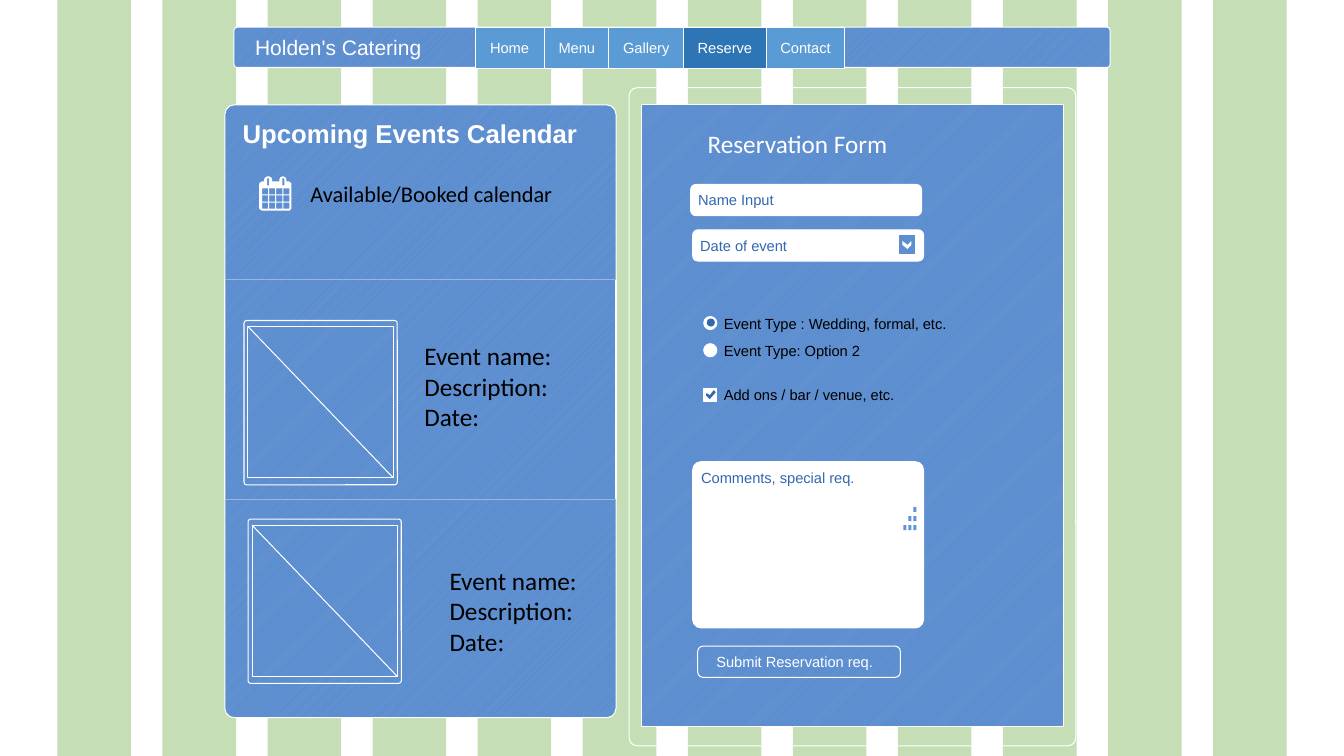
from lxml.etree import SubElement
from pptx import Presentation
from pptx.dml.color import RGBColor
from pptx.enum.dml import MSO_PATTERN
from pptx.enum.shapes import MSO_CONNECTOR, MSO_SHAPE
from pptx.enum.text import MSO_ANCHOR, MSO_AUTO_SIZE, PP_ALIGN
from pptx.oxml.ns import qn
from pptx.util import Inches, Pt

WHITE, BLACK, GREEN = "FFFFFF", "000000", "70AD47"
INK, PALE, PANEL = "3368AF", "97B7E1", "6493D2"
HATCH = ("437CC9", PANEL)
RECT, ROUND, OVAL = MSO_SHAPE.RECTANGLE, MSO_SHAPE.ROUNDED_RECTANGLE, MSO_SHAPE.OVAL

STRIPES, STRIPE_LEFT, STRIPE_PITCH, STRIPE_W = 12, 0.57, 1.042, 0.73
# label, width, fill
TABS = [("Home", 0.68, "5B9BD5"), ("Menu", 0.64, "5B9BD5"), ("Gallery", 0.74, "5B9BD5"),
        ("Reserve", 0.82, "2E75B6"), ("Contact", 0.78, "5B9BD5")]
# label, left, top, height, corner, anchor
FIELDS = [("Name Input", 6.85, 1.83, 0.31, 0.1667, MSO_ANCHOR.MIDDLE),
          ("Date of event", 6.87, 2.28, 0.31, 0.1667, MSO_ANCHOR.MIDDLE),
          ("Comments, special req.", 6.87, 4.58, 1.65, 0.051, MSO_ANCHOR.TOP)]
# label, button shape, top, text width
CHOICES = [("Event Type : Wedding, formal, etc.", OVAL, 3.14, 2.34),
           ("Event Type: Option 2", OVAL, 3.41, 1.47),
           ("Add ons / bar / venue, etc.", RECT, 3.85, 1.8)]
# frame left, frame top, text left, text top, lines
EVENTS = [(2.42, 3.18, 4.11, 3.33, ["Event name: Description:", "Date:"]),
          (2.46, 5.15, 4.36, 5.56, ["Event name:", "Description:", "Date:"])]
ARROW = [(9.04, 2.39), (9, 2.43), (8.95, 2.39), (8.95, 2.43), (9, 2.47), (9.04, 2.43)]
TICK = [(7.08, 3.87), (7.04, 3.92), (7.01, 3.9), (7, 3.92), (7.04, 3.96), (7.1, 3.89)]
CALENDAR = [(2.57, 1.82), (2.58, 1.81), (2.6, 1.8), (2.62, 1.8), (2.62, 1.78), (2.63, 1.76),
            (2.65, 1.75), (2.67, 1.75), (2.69, 1.76), (2.7, 1.78), (2.7, 1.8), (2.77, 1.8),
            (2.77, 1.78), (2.78, 1.76), (2.8, 1.75), (2.81, 1.75), (2.83, 1.76), (2.84, 1.78),
            (2.84, 1.8), (2.87, 1.8), (2.88, 1.81), (2.89, 1.82), (2.89, 2.07), (2.88, 2.08),
            (2.87, 2.09), (2.6, 2.09), (2.58, 2.08), (2.57, 2.07)]

prs = Presentation()
prs.slide_width, prs.slide_height = Inches(13.33), Inches(7.5)
s = prs.slides.add_slide(prs.slide_layouts[6])


def rgb(value):
    return RGBColor.from_string(value)


def paint(sp, fill, line):
    """Fill is None, a colour, or a (front, back) pair for diagonal hatching."""
    sp.shadow.inherit = False
    if fill is None:
        sp.fill.background()
    elif isinstance(fill, tuple):
        sp.fill.patterned()
        sp.fill.pattern = MSO_PATTERN.LIGHT_UPWARD_DIAGONAL
        sp.fill.fore_color.rgb, sp.fill.back_color.rgb = map(rgb, fill)
    else:
        sp.fill.solid()
        sp.fill.fore_color.rgb = rgb(fill)
    if line:
        sp.line.color.rgb = rgb(line)
        sp.line.width = Pt(0.75)
    else:
        sp.line.fill.background()


def box(kind, x, y, w, h, fill=None, line=WHITE, corner=None):
    sp = s.shapes.add_shape(kind, Inches(x), Inches(y), Inches(w), Inches(h))
    paint(sp, fill, line)
    if corner is not None:
        sp.adjustments[0] = corner
    return sp


def write(sp, lines, size, color, font="Arial", bold=False, anchor=MSO_ANCHOR.TOP,
          insets=(0.1, 0.05, 0.1, 0.05), wrap=True, grow=True):
    tf = sp.text_frame
    tf.text = "\n".join(lines)
    tf.word_wrap = wrap
    tf.auto_size = MSO_AUTO_SIZE.SHAPE_TO_FIT_TEXT if grow else MSO_AUTO_SIZE.NONE
    tf.vertical_anchor = anchor
    tf.margin_left, tf.margin_top, tf.margin_right, tf.margin_bottom = map(Inches, insets)
    for p in tf.paragraphs:
        p.alignment = PP_ALIGN.LEFT
        for r in p.runs:
            r.font.size, r.font.name, r.font.bold = Pt(size), font, bold
            r.font.color.rgb = rgb(color)


def label(x, y, w, h, lines, size, color, **style):
    sp = s.shapes.add_textbox(Inches(x), Inches(y), Inches(w), Inches(h))
    write(sp, lines, size, color, **style)


def line(x1, y1, x2, y2, color):
    cn = s.shapes.add_connector(MSO_CONNECTOR.STRAIGHT, *map(Inches, (x1, y1, x2, y2)))
    cn.line.color.rgb = rgb(color)
    cn.line.width = Pt(0.75)
    SubElement(cn._element.spPr, qn("a:effectLst"))


def outline(contours, fill):
    """One freeform made of several closed contours."""
    contours = [[(Inches(x), Inches(y)) for x, y in c] for c in contours]
    fb = s.shapes.build_freeform(*contours[0][0])
    for i, c in enumerate(contours):
        if i:
            fb.move_to(*c[0])
        fb.add_line_segments(c[1:], close=True)
    paint(fb.convert_to_shape(), fill, None)


def cell(x, y, w, h):
    """Corners of a rectangle, counter-clockwise."""
    return [(x, y), (x, y + h), (x + w, y + h), (x + w, y)]


# Striped background
for i in range(STRIPES):
    stripe = box(RECT, STRIPE_LEFT + i * STRIPE_PITCH, 0, STRIPE_W, 7.5, GREEN, None)
    color = stripe.fill._xPr.find(qn("a:solidFill"))[0]
    SubElement(color, qn("a:alpha"), val="40000")

# Navigation bar
bar = box(ROUND, 2.32, 0.27, 8.69, 0.4, HATCH, corner=0.081)
write(bar, ["Holden's Catering"], 15, WHITE, anchor=MSO_ANCHOR.MIDDLE,
      insets=(0.2, 0.05, 0.1, 0.05), grow=False)
tab_x = 4.72
for text, w, fill in TABS:
    write(box(RECT, tab_x, 0.27, w, 0.41, fill), [text], 10.5, WHITE,
          anchor=MSO_ANCHOR.MIDDLE, insets=(0.14, 0.05, 0.05, 0.05), wrap=False, grow=False)
    tab_x += w

# Reservation form
box(ROUND, 6.24, 0.87, 4.43, 6.53, corner=0.018)
box(RECT, 6.36, 1.04, 4.19, 6.17, HATCH)
label(6.92, 1.22, 3.11, 0.4, ["Reservation Form"], 18, WHITE, font="Calibri")
for text, x, y, h, corner, anchor in FIELDS:
    write(box(ROUND, x, y, 2.29, h, WHITE, corner=corner), [text], 10.5, INK,
          anchor=anchor, insets=(0.06, 0.05, 0.06, 0.05), grow=False)
box(RECT, 8.91, 2.33, 0.17, 0.2, HATCH)
outline([ARROW], WHITE)
outline([cell(8.96 + 0.05 * col, 5.03 + 0.09 * row, 0.03, 0.05)
         for row in range(3) for col in range(2 - row, 3)], PANEL)
for text, kind, y, w in CHOICES:
    box(kind, 6.98, y, 0.13, 0.13, WHITE)
    label(7.13, y - 0.07, w, 0.28, [text], 10.5, BLACK, insets=(0.05,) * 4, wrap=False)
box(OVAL, 7.01, 3.16, 0.08, 0.08, INK, None)
outline([TICK], INK)
write(box(ROUND, 6.92, 6.41, 2.01, 0.31, HATCH), ["Submit Reservation req."], 10.5, WHITE,
      anchor=MSO_ANCHOR.MIDDLE, insets=(0.17, 0.05, 0.25, 0.05), wrap=False)

# Events calendar
panel = box(ROUND, 2.23, 1.04, 3.88, 6.08, HATCH, corner=0.024)
write(panel, ["Upcoming Events Calendar"], 18.4, WHITE, bold=True,
      insets=(0.15, 0.1, 0.15, 0.1), grow=False)
box(RECT, 2.23, 2.77, 3.88, 2.19)
for y in (2.77, 4.96):
    line(2.23, y, 6.11, y, PALE)
for x, y, text_x, text_y, lines in EVENTS:
    box(ROUND, x, y, 1.52, 1.63, corner=0.018)
    box(RECT, x + 0.04, y + 0.06, 1.44, 1.5, HATCH)
    line(x + 0.04, y + 0.06, x + 1.48, y + 1.56, WHITE)
    label(text_x, text_y, 1.58, 1.01, lines, 18, BLACK, font="Calibri")
days = [cell(2.6 + 0.07 * col, 1.87 + 0.07 * row, 0.06, 0.06)
        for row in range(3) for col in range(4)]
rings = [cell(x, 1.77, 0.02, 0.07) for x in (2.65, 2.8)]
outline([CALENDAR] + days + rings, WHITE)
label(2.98, 1.74, 2.79, 0.37, ["Available/Booked calendar"], 16, BLACK, font="Calibri")

prs.save("out.pptx")
